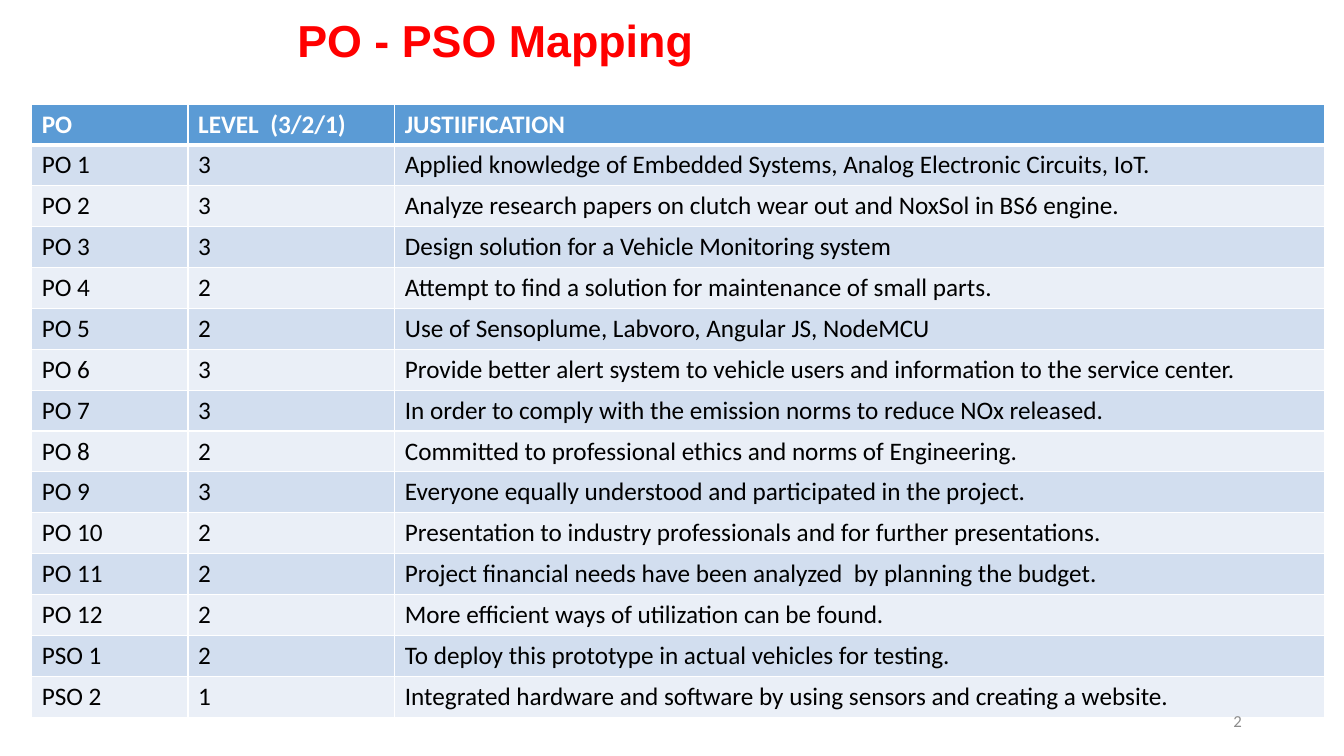
from typing import NamedTuple

from lxml import etree
from pptx import Presentation
from pptx.dml.color import RGBColor
from pptx.enum.text import MSO_ANCHOR, PP_ALIGN
from pptx.oxml.ns import qn
from pptx.util import Cm, Pt

LEFT, CENTER, RIGHT = PP_ALIGN.LEFT, PP_ALIGN.CENTER, PP_ALIGN.RIGHT
TOP, MIDDLE = MSO_ANCHOR.TOP, MSO_ANCHOR.MIDDLE

COLORS = {
    "title": "FF0000",
    "header": "5B9BD5",
    "odd": "D2DEEF",
    "even": "EAEFF7",
    "white": "FFFFFF",
    "text": "000000",
    "number": "8C8C8C",
}
COLUMN_WIDTHS = (3.94, 5.21, 23.44)
ROW_HEIGHT = 1.03
THIN, THICK = 1, 3


class Style(NamedTuple):
    size: float
    color: str
    bold: bool = False
    font: str = "Calibri"


class Label(NamedTuple):
    text: str
    left: float
    top: float
    width: float
    height: float
    style: Style
    align: PP_ALIGN
    anchor: MSO_ANCHOR


class Outcome(NamedTuple):
    code: str
    level: str
    justification: str


HEADER_STYLE = Style(18, "white", True)
BODY_STYLE = Style(18, "text")

LABELS = (
    Label("PO - PSO Mapping", 5.59, 0.2, 13.79, 1.63,
          Style(32, "title", True, "Arial"), CENTER, TOP),
    Label("2", 23.93, 17.65, 7.62, 1.02, Style(12, "number"), RIGHT, MIDDLE),
)

OUTCOMES = (
    Outcome("PO", "LEVEL  (3/2/1)", "JUSTIIFICATION"),
    Outcome("PO 1", "3", "Applied knowledge of Embedded Systems, Analog Electronic Circuits, IoT."),
    Outcome("PO 2", "3", "Analyze research papers on clutch wear out and NoxSol in BS6 engine."),
    Outcome("PO 3", "3", "Design solution for a Vehicle Monitoring system"),
    Outcome("PO 4", "2", "Attempt to find a solution for maintenance of small parts."),
    Outcome("PO 5", "2", "Use of Sensoplume, Labvoro, Angular JS, NodeMCU"),
    Outcome("PO 6", "3", "Provide better alert system to vehicle users and information to the service center."),
    Outcome("PO 7", "3", "In order to comply with the emission norms to reduce NOx released."),
    Outcome("PO 8", "2", "Committed to professional ethics and norms of Engineering."),
    Outcome("PO 9", "3", "Everyone equally understood and participated in the project."),
    Outcome("PO 10", "2", "Presentation to industry professionals and for further presentations."),
    Outcome("PO 11", "2", "Project financial needs have been analyzed  by planning the budget."),
    Outcome("PO 12", "2", "More efficient ways of utilization can be found."),
    Outcome("PSO 1", "2", "To deploy this prototype in actual vehicles for testing."),
    Outcome("PSO 2", "1", "Integrated hardware and software by using sensors and creating a website."),
)


def rgb(name: str) -> RGBColor:
    return RGBColor.from_string(COLORS[name])


def write(tf, text: str, style: Style, align: PP_ALIGN = LEFT) -> None:
    p = tf.paragraphs[0]
    p.alignment = align
    r = p.add_run()
    r.text = text
    r.font.name = style.font
    r.font.size = Pt(style.size)
    r.font.bold = style.bold
    r.font.color.rgb = rgb(style.color)


def add_label(slide, label: Label) -> None:
    box = slide.shapes.add_textbox(
        Cm(label.left), Cm(label.top), Cm(label.width), Cm(label.height))
    tf = box.text_frame
    tf.word_wrap = True
    tf.vertical_anchor = label.anchor
    write(tf, label.text, label.style, label.align)


def set_borders(cell, top: float, bottom: float) -> None:
    tc_pr = cell._tc.get_or_add_tcPr()
    widths = {"a:lnL": THIN, "a:lnR": THIN, "a:lnT": top, "a:lnB": bottom}
    for tag, width in widths.items():
        ln = etree.SubElement(tc_pr, qn(tag), w=str(Pt(width)))
        fill = etree.SubElement(ln, qn("a:solidFill"))
        etree.SubElement(fill, qn("a:srgbClr"), val=COLORS["white"])


def add_outcome_table(slide, outcomes: tuple[Outcome, ...]) -> None:
    frame = slide.shapes.add_table(
        len(outcomes), len(COLUMN_WIDTHS), Cm(0.8), Cm(2.62),
        Cm(sum(COLUMN_WIDTHS)), Cm(ROW_HEIGHT * len(outcomes)))
    table = frame.table
    for column, width in zip(table.columns, COLUMN_WIDTHS):
        column.width = Cm(width)
    for i, outcome in enumerate(outcomes):
        table.rows[i].height = Cm(ROW_HEIGHT)
        band = "header" if i == 0 else "odd" if i % 2 else "even"
        for j, text in enumerate(outcome):
            cell = table.cell(i, j)
            # The rule under the header is shared by the first two rows
            set_borders(cell, THICK if i == 1 else THIN, THICK if i == 0 else THIN)
            cell.fill.solid()
            cell.fill.fore_color.rgb = rgb(band)
            write(cell.text_frame, text, BODY_STYLE if i else HEADER_STYLE)


def main() -> None:
    prs = Presentation()
    prs.slide_width, prs.slide_height = Cm(33.87), Cm(19.05)
    s = prs.slides.add_slide(prs.slide_layouts[6])

    # Mapping table
    add_outcome_table(s, OUTCOMES)

    # Title and page number
    for label in LABELS:
        add_label(s, label)

    prs.save("out.pptx")


if __name__ == "__main__":
    main()
